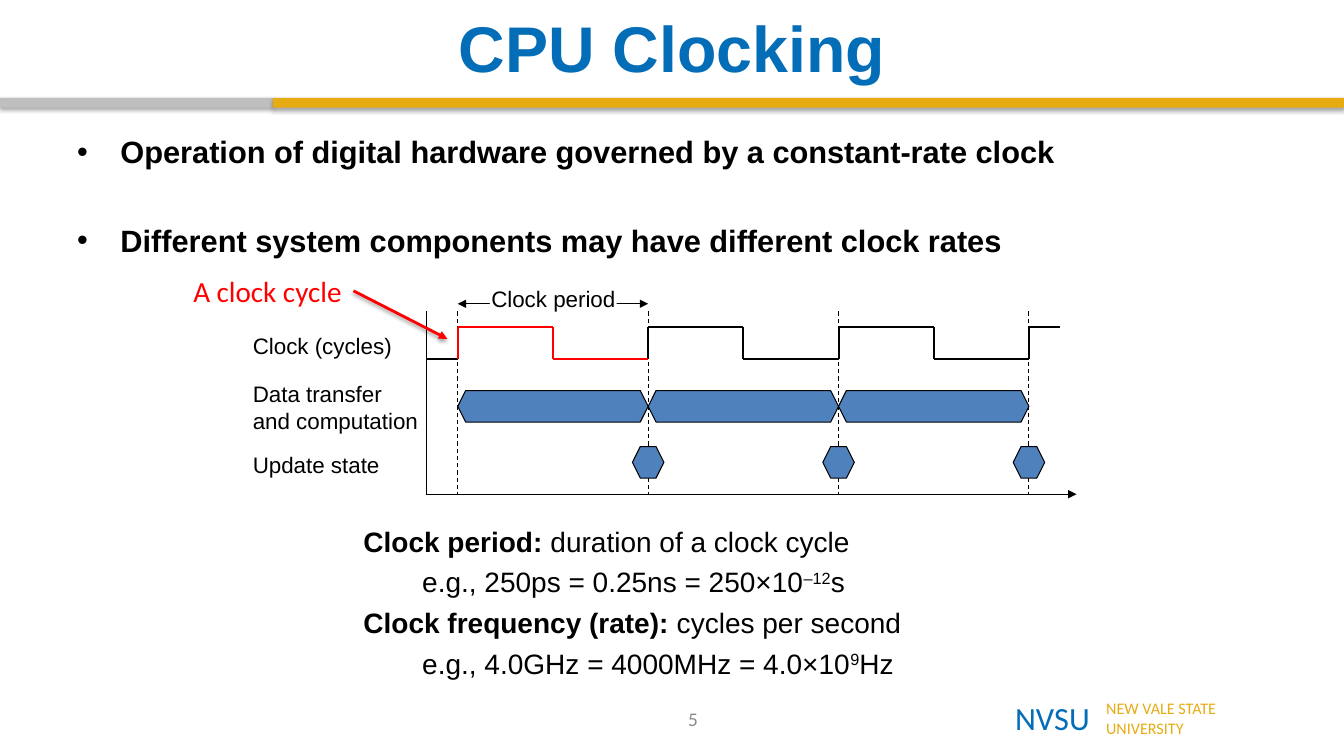
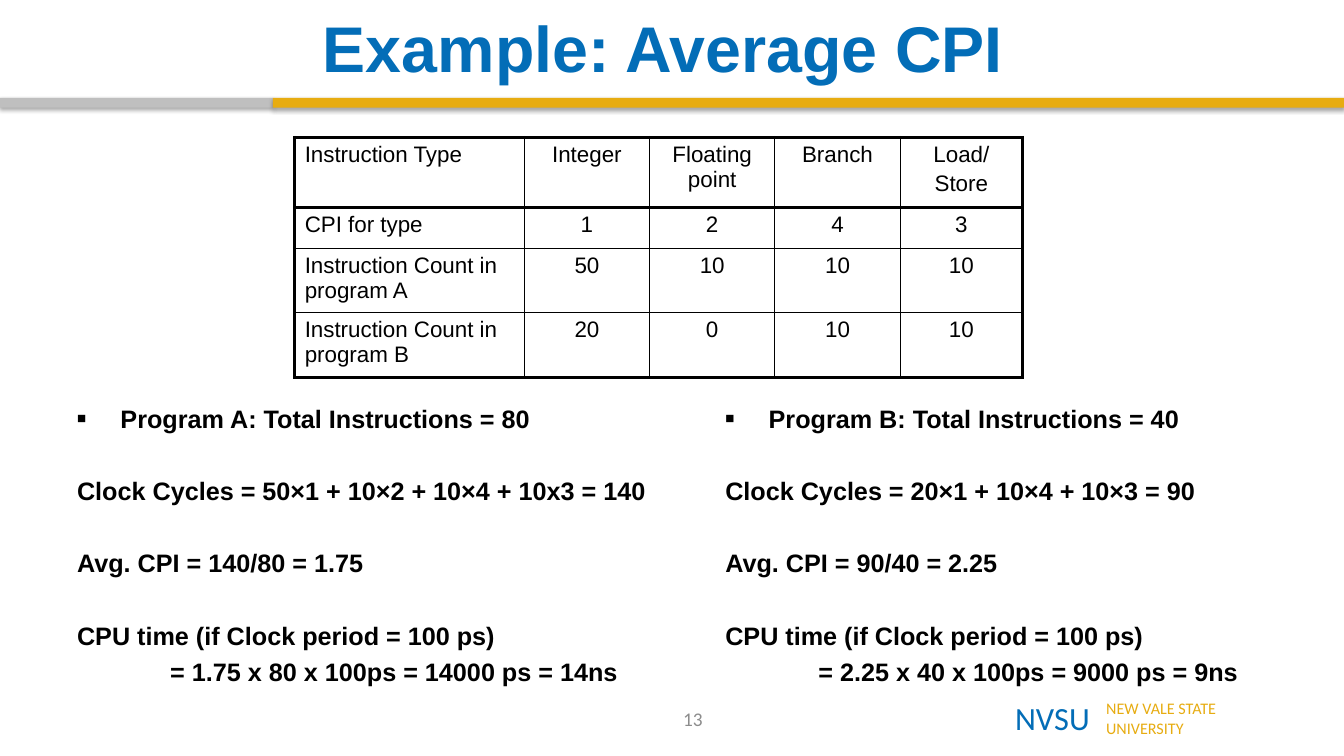
from itertools import pairwise

from lxml.etree import SubElement
from pptx import Presentation
from pptx.dml.color import RGBColor
from pptx.enum.dml import MSO_LINE as Dash
from pptx.enum.shapes import MSO_CONNECTOR as Conn, MSO_SHAPE as Form
from pptx.enum.text import MSO_ANCHOR as Anchor, PP_ALIGN as Align
from pptx.oxml.ns import qn
from pptx.util import Pt

BLUE = RGBColor(0x03, 0x6D, 0xB7)
GOLD = RGBColor(0xE7, 0xAC, 0x11)
SILVER = RGBColor(0xBF, 0xBF, 0xBF)
GRAY = RGBColor(0x8C, 0x8C, 0x8C)
STEEL = RGBColor(0x4F, 0x81, 0xBD)
BLACK = RGBColor(0, 0, 0)
WHITE = RGBColor(255, 255, 255)
RED = RGBColor(255, 0, 0)
SANS, LIGHT = "Arial", "Calibri"
WIDE, HIGH = 960, 540


# Text

def style(frame, size, color=BLACK, bold=False, face=SANS, align=Align.LEFT):
    for para in frame.paragraphs:
        para.alignment = align
        for run in para.runs:
            font = run.font
            font.name, font.size, font.bold = face, Pt(size), bold
            font.color.rgb = color


def label(slide, at, text, size, wrap=True, anchor=Anchor.TOP, **look):
    box = slide.shapes.add_textbox(*map(Pt, at))
    frame = box.text_frame
    frame.word_wrap = wrap
    frame.vertical_anchor = anchor
    frame.text = text
    style(frame, size, **look)
    return box


def indent(para, left, first=0):
    props = para._p.get_or_add_pPr()
    props.set("marL", str(Pt(left)))
    props.set("indent", str(Pt(first)))


def bullet(para, mark, scale=100):
    indent(para, 31, -31)
    props = para._p.get_or_add_pPr()
    SubElement(props, qn("a:buSzPct"), val=str(scale * 1000))
    SubElement(props, qn("a:buFont"), typeface=SANS)
    SubElement(props, qn("a:buChar"), char=mark)


# Shapes and lines

def shade(shape, alpha):
    props = shape._element.spPr
    list_ = props.find(qn("a:effectLst"))
    glow = SubElement(list_, qn("a:outerShdw"), blurRad=str(Pt(3.1)),
                      dist=str(Pt(1.7)), dir="5400000", rotWithShape="0")
    tint = SubElement(glow, qn("a:srgbClr"), val="000000")
    SubElement(tint, qn("a:alpha"), val=str(alpha * 1000))


def shape(slide, form, at, fill, line=None):
    item = slide.shapes.add_shape(form, *map(Pt, at))
    item.shadow.inherit = False
    item.fill.solid()
    item.fill.fore_color.rgb = fill
    if line is None:
        item.line.fill.background()
    else:
        item.line.color.rgb = line
        item.line.width = Pt(0.75)
    return item


def line(slide, start, end, width=0.75, color=BLACK, dash=None, tips=()):
    item = slide.shapes.add_connector(Conn.STRAIGHT, *map(Pt, start + end))
    item.line.width = Pt(width)
    item.line.color.rgb = color
    if dash is not None:
        item.line.dash_style = dash
    props = item._element.spPr
    for tip in tips:
        SubElement(props.find(qn("a:ln")), qn(f"a:{tip}"), type="triangle")
    SubElement(props, qn("a:effectLst"))
    return item


# Title, bands and footer of every slide

def page(deck, title, number):
    slide = deck.slides.add_slide(deck.slide_layouts[6])
    label(slide, (718, 495.5, 70, 35), "NVSU", 23.1, color=BLUE, face=LIGHT)
    label(slide, (783, 495.5, 120, 35), "NEW VALE STATE\nUNIVERSITY", 11.5,
          color=GOLD, face=LIGHT)
    split = 195
    for left, right, fill in ((0, split, SILVER), (split, WIDE, GOLD)):
        band = shape(slide, Form.RECTANGLE, (left, 70, right - left, 7), fill)
        shade(band, 35)
    label(slide, (48, 6, 864, 55), title, 46.1, anchor=Anchor.MIDDLE,
          color=BLUE, bold=True, align=Align.CENTER)
    label(slide, (383, 499, 224, 29), str(number), 13.8, anchor=Anchor.MIDDLE,
          color=GRAY, face=LIGHT, align=Align.CENTER)
    return slide


# Clock diagram

def diagram(slide):
    left, start, period, count = 304.5, 327, 136, 3
    top, high, low, base = 222.5, 233.5, 256.5, 353
    edges = [start + period * i for i in range(count + 1)]
    lead = 22.5

    line(slide, (start, 217), (edges[1], 217), tips=("headEnd", "tailEnd"))
    for x in edges:
        line(slide, (x, top), (x, base), dash=Dash.DASH)

    # Square wave, first cycle in red
    def wave(points, color=BLACK):
        for a, b in pairwise(points):
            line(slide, a, b, 1.5, color)

    wave([(left, low), (start, low)])
    end = edges[-1]
    wave([(end, low), (end, high), (end + lead, high)])
    for i, x in reversed(list(enumerate(edges[:-1]))):
        mid = x + period / 2
        wave([(x, low), (x, high), (mid, high), (mid, low), (x + period, low)],
             BLACK if i else RED)

    # Work in each cycle, update at its end
    size = 22.5
    for x in edges[:-1]:
        shape(slide, Form.HEXAGON, (x, 279, period, size), STEEL, BLACK)
    for x in edges[1:]:
        shape(slide, Form.HEXAGON, (x - size / 2, 319, size, size),
              STEEL, BLACK)

    # Axes and labels
    line(slide, (left, base), (769, base), tips=("tailEnd",))
    line(slide, (left, base), (left, top))
    for y, text in ((234, "Clock (cycles)"),
                    (268, "Data transfer\nand computation"),
                    (319, "Update state")):
        label(slide, (173.5, y, 150, 27), text, 16)
    name = label(slide, (350, 204, 90.5, 18.5), "Clock period", 16, wrap=False,
                 align=Align.CENTER)
    name.fill.solid()
    name.fill.fore_color.rgb = WHITE
    frame = name.text_frame
    frame.margin_left = frame.margin_right = 0
    frame.margin_top = frame.margin_bottom = 0

    note = label(slide, (131, 191.5, 121.5, 32.5), "A clock cycle", 20.8,
                 wrap=False, color=RED, face=LIGHT)
    arrow = line(slide, (252.5, 208), (319.5, 242), 2, RED, tips=("tailEnd",))
    arrow.begin_connect(note, 3)
    shade(arrow, 38)


def terms(slide):
    rows = (("Clock period: ", "duration of a clock cycle"),
            ("e.g., 250ps = 0.25ns = 250×10", "–12", "s"),
            ("Clock frequency (rate): ", "cycles per second"),
            ("e.g., 4.0GHz = 4000MHz = 4.0×10", "9", "Hz"))
    box = label(slide, (252.5, 371, 612, 153), "\n".join(r[0] for r in rows), 20)
    frame = box.text_frame
    for para, row in zip(frame.paragraphs, rows):
        for text in row[1:]:
            para.add_run().text = text
    style(frame, 20)
    for i, (para, row) in enumerate(zip(frame.paragraphs, rows)):
        para.space_before = Pt(5 if i else 0)
        if len(row) == 2:
            para.runs[0].font.bold = True
        else:
            indent(para, 42)
            para.runs[1].font._element.set("baseline", "30000")


def clocking(deck):
    slide = page(deck, "CPU Clocking", 5)
    box = label(slide, (48, 91.5, 864, 100),
                "Operation of digital hardware governed by a constant-rate clock\n"
                "Different system components may have different clock rates",
                22, bold=True)
    for para, gap in zip(box.text_frame.paragraphs, (0, 37)):
        para.space_before = Pt(gap)
        bullet(para, "•")
    diagram(slide)
    terms(slide)


# Table and sums

def border(cell, sides):
    props = cell._tc.get_or_add_tcPr()
    for side, width in zip("LRTB", sides):
        edge = SubElement(props, qn(f"a:ln{side}"), w=str(Pt(width)))
        fill = SubElement(edge, qn("a:solidFill"))
        SubElement(fill, qn("a:srgbClr"), val="000000")


def grid(slide, rows, at, widths, heights):
    count, span = len(rows), len(widths)
    size = (sum(widths), sum(heights))
    table = slide.shapes.add_table(count, span, *map(Pt, at + size)).table
    table.first_row = table.horz_banding = False
    for col, width in zip(table.columns, widths):
        col.width = Pt(width)
    for row, height in zip(table.rows, heights):
        row.height = Pt(height)
    thick, thin = 2.25, 1
    for i, row in enumerate(rows):
        for j, text in enumerate(row):
            cell = table.cell(i, j)
            cell.text_frame.text = text
            style(cell.text_frame, 16, align=Align.CENTER if j else Align.LEFT)
            for para in cell.text_frame.paragraphs[1:]:
                para.space_before = Pt(3)
            bold = (j == 0, j == span - 1, i < 2, i in (0, count - 1))
            border(cell, [thick if b else thin for b in bold])
            cell.fill.background()


def sums(slide, left, lines):
    box = label(slide, (left, 284.5, 440, 205), "\n".join(lines), 18, bold=True)
    paras = box.text_frame.paragraphs
    for para, gap in zip(paras, (0, 30, 30, 30, 4.5)):
        para.space_before = Pt(gap)
    bullet(paras[0], "■", 60)
    indent(paras[-1], 66.5)


def average(deck):
    slide = page(deck, "Example: Average CPI ", 13)
    rows = (("Instruction Type", "Integer", "Floating point", "Branch",
             "Load/\nStore"),
            ("CPI for type", "1", "2", "4", "3"),
            ("Instruction Count in program A", "50", "10", "10", "10"),
            ("Instruction Count in program B", "20", "0", "10", "10"))
    grid(slide, rows, (210.5, 98), (164, 89.5, 89.5, 89.5, 87.5),
         (50, 29.5, 46, 46))
    clock = "CPU time (if Clock period = 100 ps)"
    sums(slide, 48, ("Program A: Total Instructions = 80",
                     "Clock Cycles = 50×1 + 10×2 + 10×4 + 10x3 = 140",
                     "Avg. CPI = 140/80 = 1.75", clock,
                     "= 1.75 x 80 x 100ps = 14000 ps = 14ns"))
    sums(slide, 511, ("Program B: Total Instructions = 40",
                      "Clock Cycles = 20×1 + 10×4 + 10×3 = 90",
                      "Avg. CPI = 90/40 = 2.25", clock,
                      "= 2.25 x 40 x 100ps = 9000 ps = 9ns"))


def main():
    deck = Presentation()
    deck.slide_width, deck.slide_height = Pt(WIDE), Pt(HIGH)
    clocking(deck)
    average(deck)
    deck.save("out.pptx")


if __name__ == "__main__":
    main()
